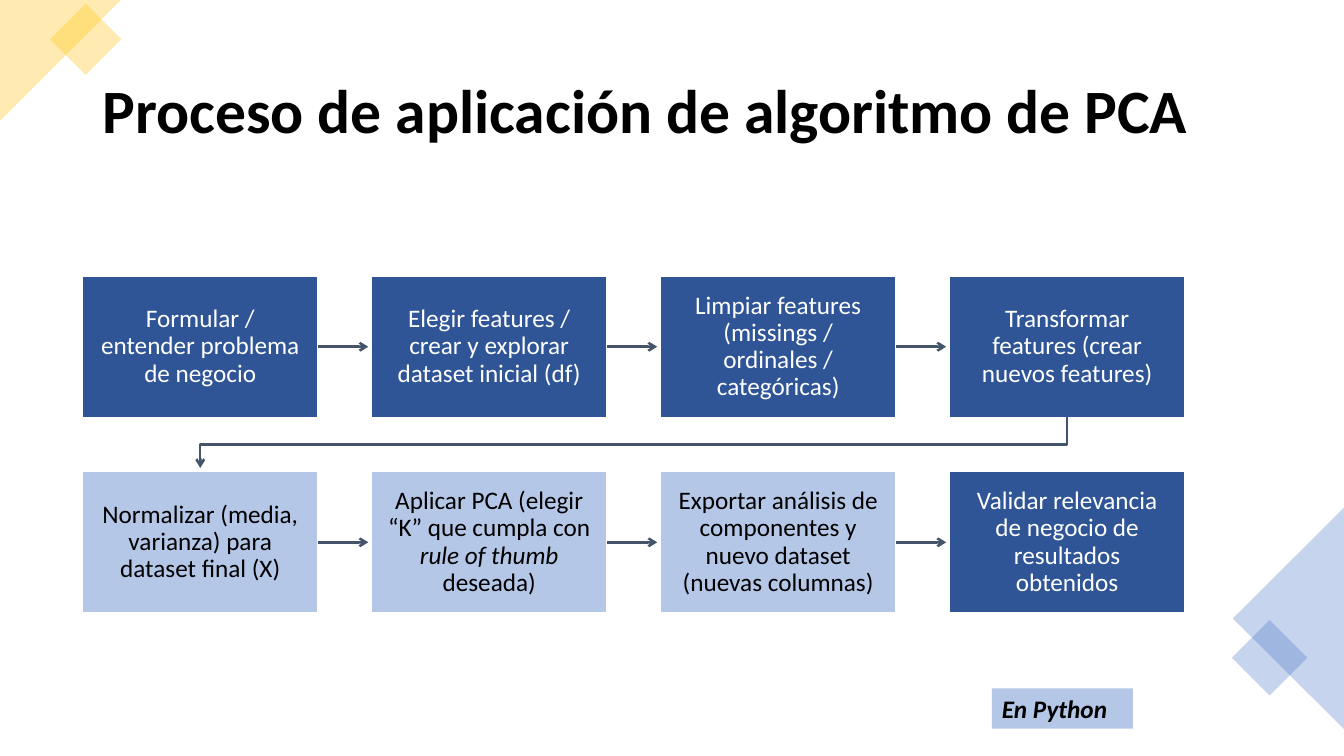
from dataclasses import dataclass

from lxml.etree import SubElement
from pptx import Presentation
from pptx.dml.color import RGBColor as RGB
from pptx.enum.shapes import MSO_CONNECTOR as CONN, MSO_SHAPE as SHAPE
from pptx.enum.text import MSO_ANCHOR as ANCHOR, PP_ALIGN as ALIGN
from pptx.oxml.ns import qn
from pptx.util import Inches, Pt


@dataclass(frozen=True)
class Theme:
    """Colours, font and type sizes."""
    font: str = "Calibri"
    title: int = 44
    body: int = 18
    dark: str = "2F5597"
    light: str = "B4C7E7"
    line: str = "44546A"
    gold: str = "FFC000"
    blue: str = "4472C4"
    white: str = "FFFFFF"
    black: str = "000000"


class Deck:
    """Holds the theme and the current slide; lengths are percent of the slide."""

    def __init__(self, prs, theme):
        """Add a blank slide to draw on."""
        self.prs, self.theme = prs, theme
        self.shapes = prs.slides.add_slide(prs.slide_layouts[6]).shapes

    def emu(self, *lengths):
        """Turn alternating x and y percentages into lengths."""
        sides = self.prs.slide_width, self.prs.slide_height
        return [round(v * sides[i % 2] / 100) for i, v in enumerate(lengths)]

    def shape(self, kind, box, color, rotation=0, alpha=None):
        """Draw a filled shape without outline."""
        s = self.shapes.add_shape(kind, *self.emu(*box))
        s.shadow.inherit = False
        s.rotation = rotation
        s.fill.solid()
        s.fill.fore_color.rgb = RGB.from_string(color)
        s.line.fill.background()
        if alpha:
            clr = s._element.spPr.find(qn("a:solidFill")).find(qn("a:srgbClr"))
            SubElement(clr, qn("a:alpha"), val=str(alpha * 1000))
        return s

    def put_text(self, tf, text, size, color, bold=None, italic=None):
        """Fill a text frame; parts between asterisks are italic."""
        tf.word_wrap = True
        p = tf.paragraphs[0]
        f = p.font
        f.name, f.size, f.bold, f.italic = self.theme.font, Pt(size), bold, italic
        f.color.rgb = RGB.from_string(color)
        for i, part in enumerate(text.split("*")):
            r = p.add_run()
            r.text = part
            if i % 2:
                r.font.italic = True
        return p

    def step(self, box, text, fill, color):
        """Draw one process step."""
        s = self.shape(SHAPE.RECTANGLE, box, fill)
        s.line.color.rgb = RGB.from_string(self.theme.white)
        s.line.width = Pt(1)
        tf = s.text_frame
        tf.vertical_anchor = ANCHOR.MIDDLE
        tf.margin_left = tf.margin_right = Inches(0.14)
        tf.margin_top = tf.margin_bottom = Inches(0.14)
        p = self.put_text(tf, text, self.theme.body, color)
        p.alignment, p.line_spacing = ALIGN.CENTER, 0.9

    def text(self, box, text, size, fill=None, **style):
        """Add a text box, on a fill if one is given."""
        s = self.shapes.add_textbox(*self.emu(*box))
        if fill:
            s.fill.solid()
            s.fill.fore_color.rgb = RGB.from_string(fill)
        p = self.put_text(s.text_frame, text, size, self.theme.black, **style)
        return s.text_frame, p

    def arrow(self, *points):
        """Draw an arrow: a connector for two points, else an open outline."""
        pts = [self.emu(*pt) for pt in points]
        if len(pts) == 2:
            s = self.shapes.add_connector(CONN.STRAIGHT, *pts[0], *pts[1])
            SubElement(s._element.spPr, qn("a:effectLst"))
        else:
            fb = self.shapes.build_freeform(*pts[0])
            fb.add_line_segments(pts[1:], close=False)
            s = fb.convert_to_shape()
            s.shadow.inherit = False
            s.fill.background()
        s.line.color.rgb = RGB.from_string(self.theme.line)
        s.line.width = Pt(1.75)
        ln = s._element.spPr.find(qn("a:ln"))
        SubElement(ln, qn("a:tailEnd"), type="arrow")


LEFT, TOP = 6.15, 36.53
COL, ROW = 21.5, 25.87
WIDTH, HEIGHT = 17.5, 18.67
ARROW = 3.75

STEPS = [
    ["Formular / entender problema de negocio",
     "Elegir features / crear y explorar dataset inicial (df)",
     "Limpiar features (missings / ordinales / categóricas)",
     "Transformar features (crear nuevos features)"],
    ["Normalizar (media, varianza) para dataset final (X)",
     "Aplicar PCA (elegir “K” que cumpla con *rule of thumb *deseada)",
     "Exportar análisis de componentes y nuevo dataset (nuevas columnas)",
     "Validar relevancia de negocio de resultados obtenidos"],
]


def decorate(deck):
    """Draw the translucent corner ornaments."""
    t = deck.theme
    for kind, box, color, rotation in [
        (SHAPE.RIGHT_TRIANGLE, (0, 0, 9, 16), t.gold, 90),
        (SHAPE.RECTANGLE, (4.5, 1.87, 3.75, 6.67), t.gold, 45),
        (SHAPE.ISOSCELES_TRIANGLE, (87.6, 74.4, 16.58, 14.8), t.blue, 270),
        (SHAPE.RECTANGLE, (92.48, 83.47, 3.98, 7.07), t.blue, 45),
    ]:
        deck.shape(kind, box, color, rotation, alpha=30)


def draw_process(deck):
    """Lay out the steps on the grid and join them with arrows."""
    t = deck.theme
    last = len(STEPS[0]) - 1
    for row, texts in enumerate(STEPS):
        y = TOP + row * ROW
        for col, text in enumerate(texts):
            x = LEFT + col * COL
            in_python = row == 1 and col < last
            fill, color = (t.light, t.black) if in_python else (t.dark, t.white)
            deck.step((x, y, WIDTH, HEIGHT), text, fill, color)
            if col < last:
                start, mid = x + WIDTH, y + HEIGHT / 2
                deck.arrow((start, mid), (start + ARROW, mid))
    first_x = LEFT + WIDTH / 2
    last_x = first_x + last * COL
    bottom, turn, end = TOP + HEIGHT, TOP + (HEIGHT + ROW) / 2, TOP + ROW - 0.5
    deck.arrow((last_x, bottom), (last_x, turn), (first_x, turn), (first_x, end))


def main():
    """Build and save the slide."""
    prs = Presentation()
    prs.slide_width, prs.slide_height = Inches(13.33), Inches(7.5)
    theme = Theme()
    deck = Deck(prs, theme)
    decorate(deck)
    draw_process(deck)
    tf, p = deck.text((6.9, 5.33, 88.95, 19.33),
                      "Proceso de aplicación de algoritmo de PCA",
                      theme.title, bold=True)
    tf.vertical_anchor, p.line_spacing = ANCHOR.MIDDLE, 0.9
    deck.text((73.8, 91.07, 10.5, 5.33), "En Python", theme.body,
              fill=theme.light, bold=True, italic=True)
    prs.save("out.pptx")


main()
